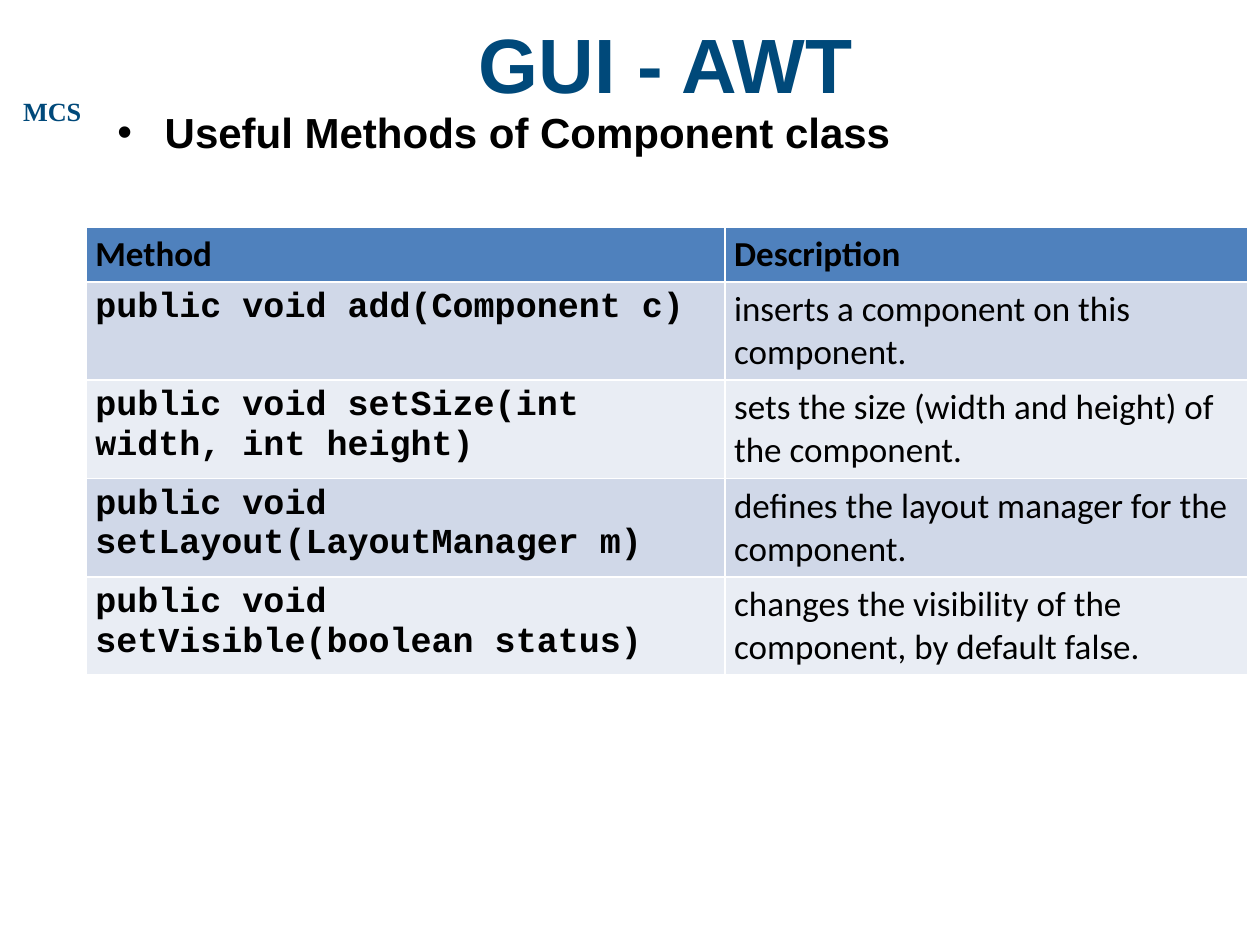
from lxml.etree import SubElement
from pptx import Presentation
from pptx.dml.color import RGBColor
from pptx.enum.text import MSO_ANCHOR, PP_ALIGN
from pptx.oxml.ns import qn
from pptx.util import Pt

COLORS = {
    "navy": "00497A",
    "black": "000000",
    "white": "FFFFFF",
    "header": "4F81BD",
    "odd": "D0D8E8",
    "even": "E9EDF4",
}

METHODS = [
    ("Method ", "Description"),
    ("public void add(Component c)", "inserts a component on this component."),
    ("public void setSize(int width, int height)",
     "sets the size (width and height) of the component."),
    ("public void setLayout(LayoutManager m)",
     "defines the layout manager for the component."),
    ("public void setVisible(boolean status)",
     "changes the visibility of the component, by default false."),
]


def style(paragraph, font_name, size, color, bold=True):
    for run in paragraph.runs:
        run.font.name = font_name
        run.font.size = Pt(size)
        run.font.bold = bold
        run.font.color.rgb = RGBColor.from_string(COLORS[color])


def add_text(slide, box, text, font_name, size, color, align,
             anchor=MSO_ANCHOR.TOP, wrap=True):
    frame = slide.shapes.add_textbox(*map(Pt, box)).text_frame
    frame.word_wrap = wrap
    frame.vertical_anchor = anchor
    frame.text = text
    paragraph = frame.paragraphs[0]
    paragraph.alignment = align
    style(paragraph, font_name, size, color)
    return paragraph


def add_bullet(paragraph, indent):
    properties = paragraph._p.get_or_add_pPr()
    properties.set("marL", str(Pt(indent)))
    properties.set("indent", str(-Pt(indent)))
    SubElement(properties, qn("a:buFont"), typeface="Arial")
    SubElement(properties, qn("a:buChar"), char="•")


def add_borders(cell, color, width):
    properties = cell._tc.get_or_add_tcPr()
    for position, side in enumerate(("a:lnL", "a:lnR", "a:lnT", "a:lnB")):
        line = SubElement(properties, qn(side), w=str(Pt(width)))
        fill = SubElement(line, qn("a:solidFill"))
        SubElement(fill, qn("a:srgbClr"), val=COLORS[color])
        properties.insert(position, line)


def fill_cell(cell, text, fill, font_name, bold):
    cell.text = text
    cell.margin_left = cell.margin_right = Pt(5.3)
    cell.margin_top = cell.margin_bottom = Pt(3.6)
    cell.fill.solid()
    cell.fill.fore_color.rgb = RGBColor.from_string(COLORS[fill])
    style(cell.text_frame.paragraphs[0], font_name, 20, "black", bold)
    add_borders(cell, "white", 1)


def add_methods_table(slide, left, top, widths, header_height, row_height):
    heights = [header_height] + [row_height] * (len(METHODS) - 1)
    table = slide.shapes.add_table(
        len(heights), len(widths), Pt(left), Pt(top),
        Pt(sum(widths)), Pt(sum(heights))).table
    for column, width in zip(table.columns, widths):
        column.width = Pt(width)
    for index, (row, height) in enumerate(zip(table.rows, heights)):
        row.height = Pt(height)
        is_header = index == 0
        fill = "header" if is_header else ("even", "odd")[index % 2]
        signature, description = METHODS[index]
        signature_font = "Calibri" if is_header else "Courier New"
        fill_cell(row.cells[0], signature, fill, signature_font, True)
        fill_cell(row.cells[1], description, fill, "Calibri", is_header)


def main():
    """Build the slide on useful methods of the Component class."""
    presentation = Presentation()
    presentation.slide_width, presentation.slide_height = Pt(720), Pt(540)
    slide = presentation.slides.add_slide(presentation.slide_layouts[6])
    add_text(slide, (5.8, 51, 48, 25), "MCS", "Times New Roman", 15, "navy",
             PP_ALIGN.CENTER, wrap=False)
    add_text(slide, (60, 0, 641, 72), "GUI - AWT", "Arial", 44, "navy",
             PP_ALIGN.CENTER, MSO_ANCHOR.MIDDLE)
    topic = add_text(slide, (60, 57.6, 641, 473),
                     "Useful Methods of Component class", "Arial", 24, "black",
                     PP_ALIGN.JUSTIFY)
    topic.space_before = Pt(6)
    add_bullet(topic, 27)
    add_methods_table(slide, 49.2, 129.6, (365, 298.8), 31.5, 56.2)
    presentation.save("out.pptx")


main()
